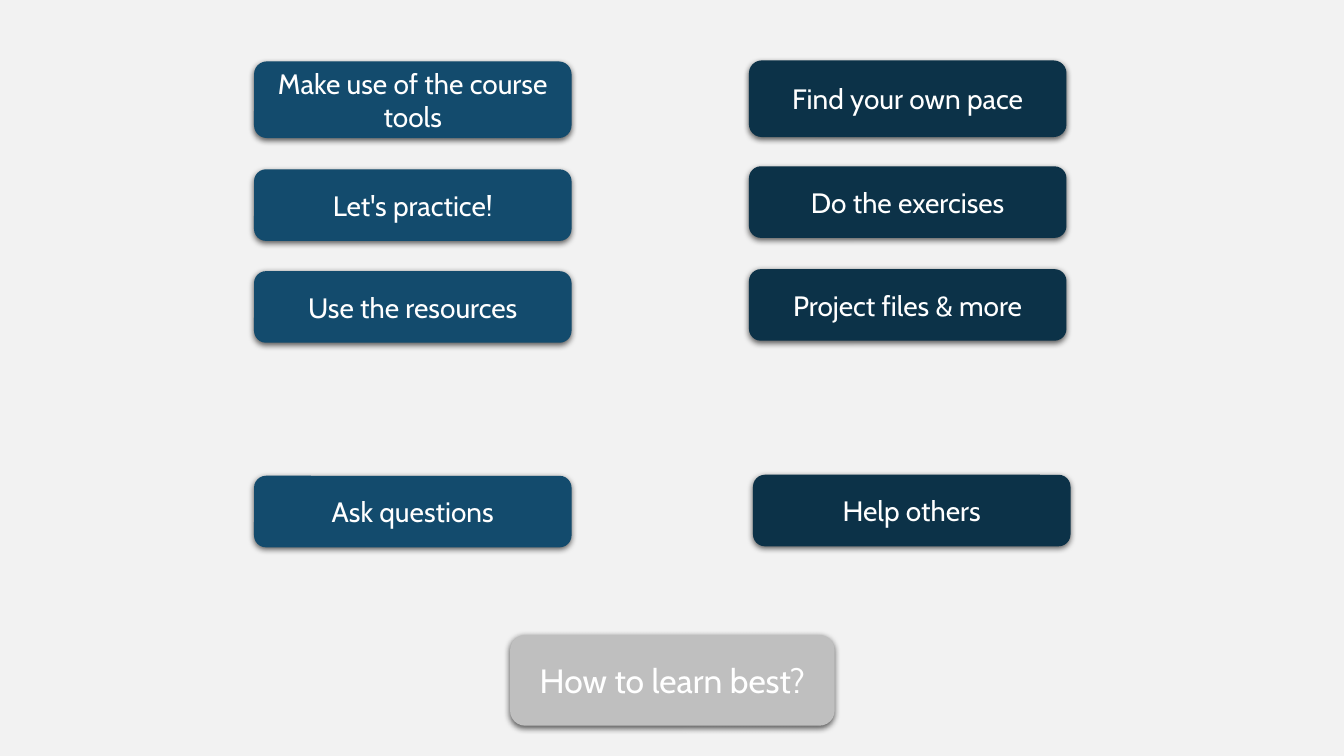
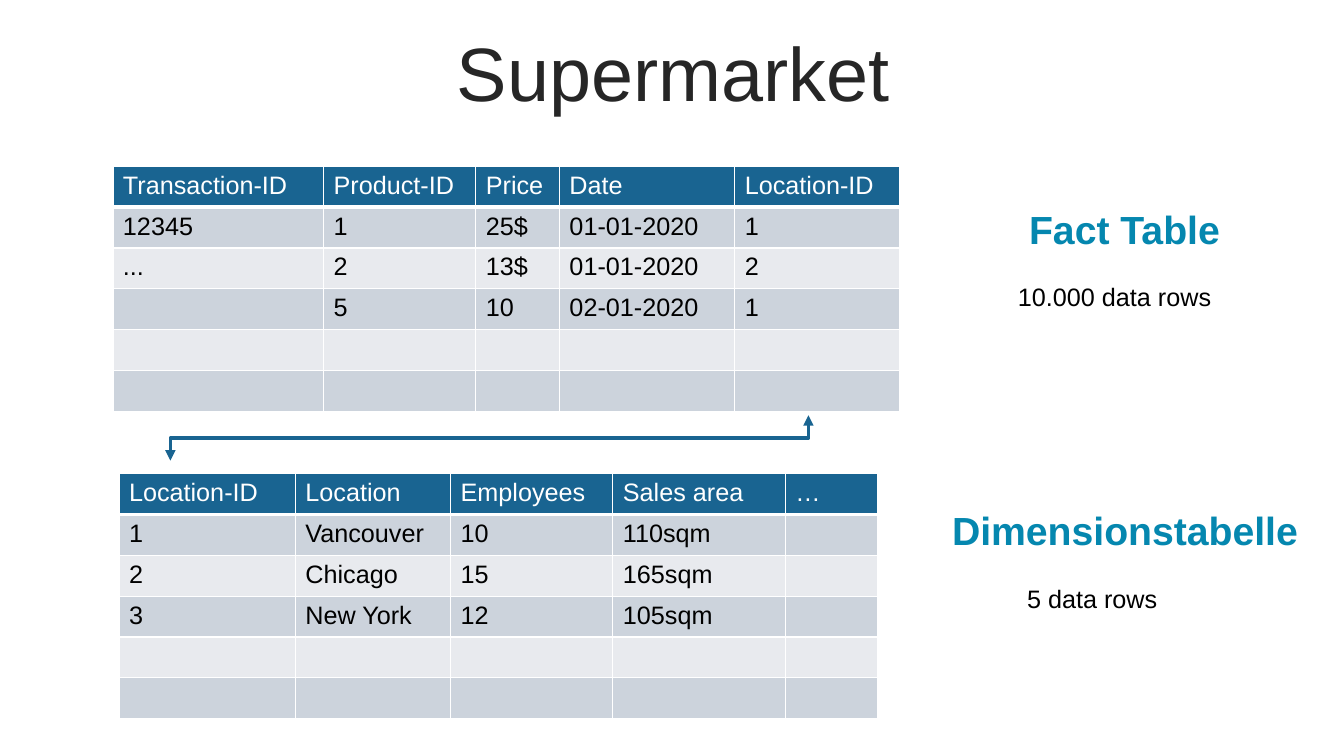
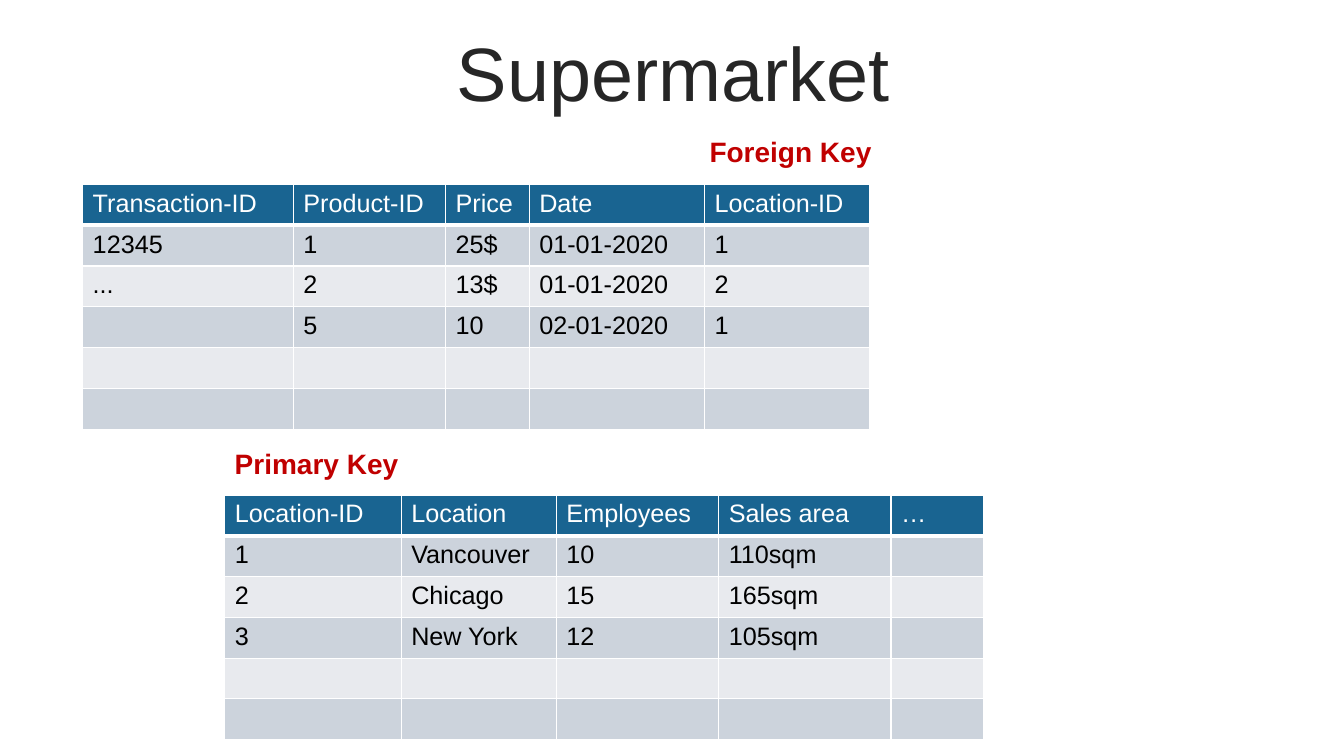
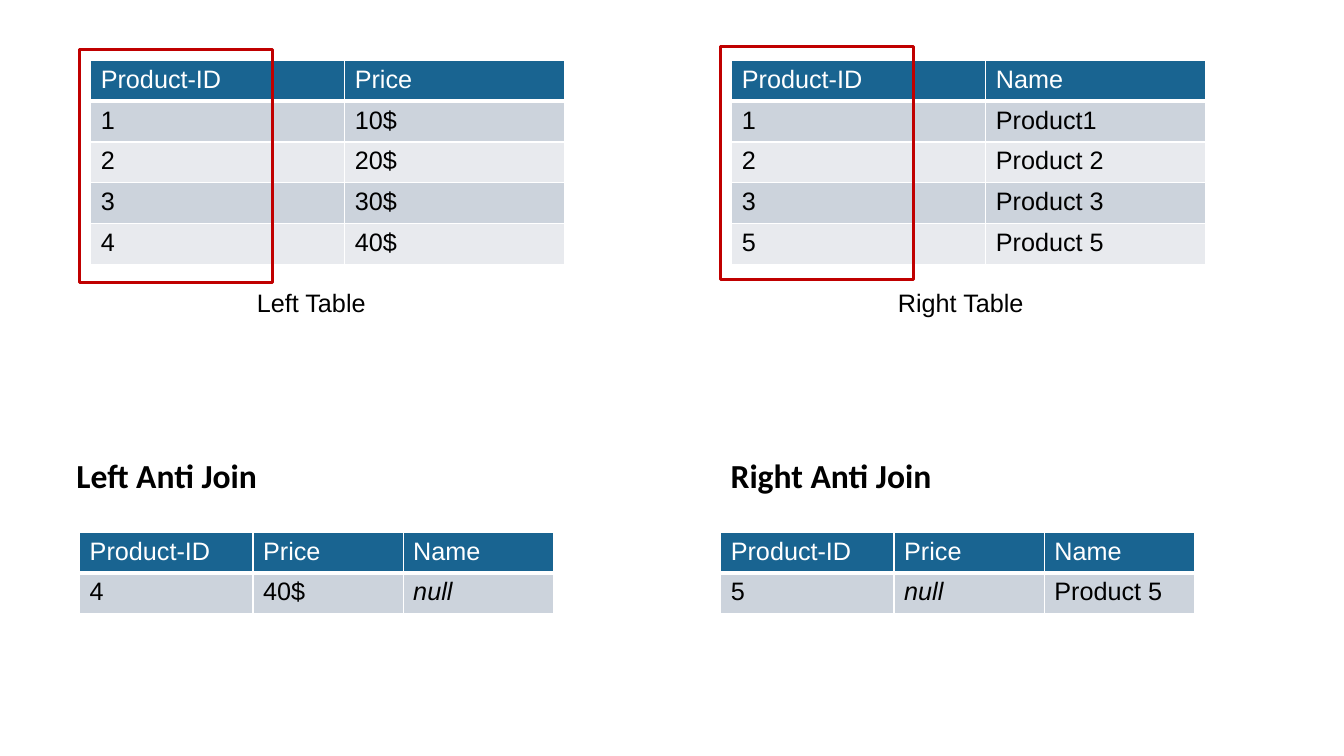
from dataclasses import dataclass

from lxml.etree import SubElement
from pptx import Presentation
from pptx.dml.color import RGBColor as Color
from pptx.enum.shapes import MSO_CONNECTOR as Connector, MSO_SHAPE as Shape
from pptx.enum.text import MSO_ANCHOR as Anchor, PP_ALIGN as Align
from pptx.oxml.ns import qn
from pptx.slide import Slide
from pptx.text.text import TextFrame
from pptx.util import Emu, Inches, Pt

UNIT = Inches(0.1)
PAGE_COLUMNS, PAGE_ROWS = 133.33, 75
TABLE_ROW = 4.05


@dataclass(frozen=True)
class TextStyle:
    font: str
    size: int
    color: str
    bold: bool = False
    align: Align = Align.LEFT


@dataclass(frozen=True)
class Theme:
    white: str = "FFFFFF"
    paper: str = "F2F2F2"
    blue: str = "134B6D"
    navy: str = "0C3248"
    grey: str = "BFBFBF"
    header: str = "196491"
    bands: tuple[str, str] = ("CCD3DC", "E8EAEE")
    red: str = "C00000"
    title: TextStyle = TextStyle("Arial", 54, "262626", align=Align.CENTER)
    button: TextStyle = TextStyle("Cabin", 20, "FFFFFF", align=Align.CENTER)
    question: TextStyle = TextStyle("Cabin", 24, "FFFFFF", align=Align.CENTER)
    head_cell: TextStyle = TextStyle("Arial", 18, "FFFFFF")
    body: TextStyle = TextStyle("Arial", 18, "000000")
    table_name: TextStyle = TextStyle("Arial", 28, "0587AF", True, Align.CENTER)
    key: TextStyle = TextStyle("Arial", 20, "C00000", True)
    join: TextStyle = TextStyle("Calibri", 24, "000000", True)


THEME = Theme()


@dataclass(frozen=True)
class Area:
    column: float
    row: float
    columns: float
    rows: float

    def lengths(self) -> tuple[Emu, Emu, Emu, Emu]:
        return grid(self.column), grid(self.row), grid(self.columns), grid(self.rows)


@dataclass(frozen=True)
class Button:
    text: str
    area: Area
    fill: str
    style: TextStyle = THEME.button


@dataclass(frozen=True)
class Label:
    text: str
    area: Area
    style: TextStyle
    wrap: bool = True


@dataclass(frozen=True)
class TableData:
    columns: tuple[float, ...]
    rows: tuple[tuple[str, ...], ...]
    empty_rows: int = 0


@dataclass(frozen=True)
class JoinSide:
    name: str
    left: float
    heading_left: float
    frame_top: float
    source: TableData
    result: TableData


SALES = TableData(
    (20.9, 15.1, 8.3, 17.4, 16.4),
    (
        ("Transaction-ID", "Product-ID", "Price", "Date", "Location-ID"),
        ("12345", "1", "25$", "01-01-2020", "1"),
        ("...", "2", "13$", "01-01-2020", "2"),
        ("", "5", "10", "02-01-2020", "1"),
    ),
    2,
)
LOCATIONS = TableData(
    (17.5, 15.4, 16.1, 17.1, 9.2),
    (
        ("Location-ID", "Location", "Employees", "Sales area", "…"),
        ("1", "Vancouver", "10", "110sqm", ""),
        ("2", "Chicago", "15", "165sqm", ""),
        ("3", "New York", "12", "105sqm", ""),
    ),
    2,
)
SOURCE_COLUMNS = (25.2, 21.8)
RESULT_COLUMNS = (17.2, 14.9, 14.9)
RESULT_HEADER = ("Product-ID", "Price", "Name")
JOIN_SIDES = (
    JoinSide(
        "Left", 7.9, 6.6, 4.9,
        TableData(SOURCE_COLUMNS, (
            ("Product-ID", "Price"),
            ("1", "10$"), ("2", "20$"), ("3", "30$"), ("4", "40$"),
        )),
        TableData(RESULT_COLUMNS, (RESULT_HEADER, ("4", "40$", "null"))),
    ),
    JoinSide(
        "Right", 71.5, 71.5, 4.6,
        TableData(SOURCE_COLUMNS, (
            ("Product-ID", "Name"),
            ("1", "Product1"), ("2", "Product 2"), ("3", "Product 3"), ("5", "Product 5"),
        )),
        TableData(RESULT_COLUMNS, (RESULT_HEADER, ("5", "null", "Product 5"))),
    ),
)
BUTTON_COLUMNS = 31.5
BUTTONS = (
    Button("Make use of the course tools", Area(25.2, 6.1, BUTTON_COLUMNS, 7.6), THEME.blue),
    Button("Let's practice!", Area(25.2, 16.8, BUTTON_COLUMNS, 7.1), THEME.blue),
    Button("Use the resources", Area(25.2, 26.9, BUTTON_COLUMNS, 7.1), THEME.blue),
    Button("Ask questions", Area(25.2, 47.2, BUTTON_COLUMNS, 7.1), THEME.blue),
    Button("Find your own pace", Area(74.3, 6, BUTTON_COLUMNS, 7.6), THEME.navy),
    Button("Do the exercises", Area(74.3, 16.5, BUTTON_COLUMNS, 7.1), THEME.navy),
    Button("Project files & more", Area(74.3, 26.7, BUTTON_COLUMNS, 7.1), THEME.navy),
    Button("Help others", Area(74.7, 47.1, BUTTON_COLUMNS, 7.1), THEME.navy),
    Button("How to learn best?", Area(50.6, 63, 32.2, 9), THEME.grey, THEME.question),
)


def grid(count: float) -> Emu:
    return Emu(round(count * UNIT))


def rgb(value: str) -> Color:
    return Color.from_string(value)


def write(frame: TextFrame, text: str, style: TextStyle, italic: bool = False) -> None:
    frame.text = text
    para = frame.paragraphs[0]
    para.alignment = style.align
    for span in para.runs:
        span.font.name = style.font
        span.font.size = Pt(style.size)
        span.font.bold = style.bold
        span.font.italic = italic
        span.font.color.rgb = rgb(style.color)


def add_page(deck: Presentation, background: str = THEME.white) -> Slide:
    page = deck.slides.add_slide(deck.slide_layouts[6])
    page.background.fill.solid()
    page.background.fill.fore_color.rgb = rgb(background)
    return page


def add_label(page: Slide, label: Label) -> TextFrame:
    frame = page.shapes.add_textbox(*label.area.lengths()).text_frame
    frame.word_wrap = label.wrap
    write(frame, label.text, label.style)
    return frame


def add_title(page: Slide, text: str) -> None:
    frame = add_label(page, Label(text, Area(3.5, 3.7, 126.6, 7.9), THEME.title))
    frame.vertical_anchor = Anchor.MIDDLE
    frame.paragraphs[0].line_spacing = 0.9
    frame.paragraphs[0].space_before = Pt(10)


def add_button(page: Slide, button: Button) -> None:
    box = page.shapes.add_shape(Shape.ROUNDED_RECTANGLE, *button.area.lengths())
    box.fill.solid()
    box.fill.fore_color.rgb = rgb(button.fill)
    box.line.fill.background()
    box.shadow.inherit = False
    effects = box.element.spPr.find(qn("a:effectLst"))
    shadow = SubElement(
        effects, qn("a:outerShdw"),
        blurRad=str(Pt(4.5)), dist=str(Pt(1.5)), dir="5400000", rotWithShape="0",
    )
    tint = SubElement(shadow, qn("a:srgbClr"), val="000000")
    SubElement(tint, qn("a:alpha"), val="63000")
    box.text_frame.word_wrap = True
    box.text_frame.vertical_anchor = Anchor.MIDDLE
    write(box.text_frame, button.text, button.style)


def add_table(page: Slide, left: float, top: float, data: TableData) -> None:
    empty = ("",) * len(data.columns)
    rows = data.rows + (empty,) * data.empty_rows
    area = Area(left, top, sum(data.columns), TABLE_ROW * len(rows))
    table = page.shapes.add_table(len(rows), len(data.columns), *area.lengths()).table
    for column, width in zip(table.columns, data.columns):
        column.width = grid(width)
    for index, texts in enumerate(rows):
        table.rows[index].height = grid(TABLE_ROW)
        is_header = index == 0
        fill = THEME.header if is_header else THEME.bands[(index - 1) % 2]
        style = THEME.head_cell if is_header else THEME.body
        for position, text in enumerate(texts):
            cell = table.cell(index, position)
            properties = cell._tc.get_or_add_tcPr()
            for side in ("lnL", "lnR", "lnT", "lnB"):
                width = Pt(3 if is_header and side == "lnB" else 1)
                border = SubElement(properties, qn(f"a:{side}"), w=str(width))
                paint = SubElement(border, qn("a:solidFill"))
                SubElement(paint, qn("a:srgbClr"), val=THEME.white)
            cell.fill.solid()
            cell.fill.fore_color.rgb = rgb(fill)
            write(cell.text_frame, text, style, italic=text == "null")


def add_key_arrow(page: Slide, start: tuple[float, float], end: tuple[float, float]) -> None:
    middle_x, middle_y = (start[0] + end[0]) / 2, (start[1] + end[1]) / 2
    half_run, half_rise = (end[0] - start[0]) / 2, (start[1] - end[1]) / 2
    arrow = page.shapes.add_connector(
        Connector.ELBOW,
        grid(middle_x + half_rise), grid(middle_y + half_run),
        grid(middle_x - half_rise), grid(middle_y - half_run),
    )
    arrow.line.color.rgb = rgb(THEME.header)
    arrow.line.width = Pt(2.5)
    properties = arrow.element.spPr
    properties.find(qn("a:xfrm")).set("rot", "5400000")
    line = properties.find(qn("a:ln"))
    for tip in ("headEnd", "tailEnd"):
        SubElement(line, qn(f"a:{tip}"), type="triangle")
    SubElement(properties, qn("a:effectLst"))


def add_frame(page: Slide, area: Area) -> None:
    frame = page.shapes.add_shape(Shape.RECTANGLE, *area.lengths())
    frame.fill.background()
    frame.line.color.rgb = rgb(THEME.red)
    frame.line.width = Pt(2.25)
    frame.shadow.inherit = False


def build_learning(deck: Presentation) -> None:
    page = add_page(deck, THEME.paper)
    for button in BUTTONS:
        add_button(page, button)


def build_tables(deck: Presentation) -> None:
    page = add_page(deck)
    add_title(page, "Supermarket")
    add_key_arrow(page, (16.9, 45.7), (80.2, 41.2))
    add_table(page, 11.8, 47, LOCATIONS)
    add_table(page, 11.2, 16.5, SALES)
    for label in (
        Label("10.000 data rows", Area(100, 27.4, 21.4, 4), THEME.body, False),
        Label("5 data rows", Area(100.9, 57.4, 15.1, 4), THEME.body, False),
        Label("Fact Table", Area(95.3, 19.9, 32.5, 5.7), THEME.table_name),
        Label("Dimensionstabelle", Area(93.2, 49.7, 36.8, 5.7), THEME.table_name),
    ):
        add_label(page, label)


def build_keys(deck: Presentation) -> None:
    page = add_page(deck)
    add_title(page, "Supermarket")
    add_table(page, 22.3, 49.1, LOCATIONS)
    add_table(page, 8.2, 18.3, SALES)
    add_label(page, Label("Foreign Key", Area(69.4, 12.9, 20.2, 4.4), THEME.key))
    add_label(page, Label("Primary Key", Area(22.3, 43.8, 18.4, 4.4), THEME.key, False))


def build_joins(deck: Presentation) -> None:
    page = add_page(deck)
    for side in JOIN_SIDES:
        add_table(page, side.left + 1.1, 6, side.source)
        add_table(page, side.left, 52.8, side.result)
        add_frame(page, Area(side.left, side.frame_top, 19.1, 23.1))
        caption = Area(side.left + 16.6, 28, 36.7, 4)
        add_label(page, Label(f"{side.name} Table", caption, THEME.body))
        heading = Area(side.heading_left, 44.6, 60, 5)
        add_label(page, Label(f"{side.name} Anti Join", heading, THEME.join))


def main() -> None:
    deck = Presentation()
    deck.slide_width, deck.slide_height = grid(PAGE_COLUMNS), grid(PAGE_ROWS)
    for build in (build_learning, build_tables, build_keys, build_joins):
        build(deck)
    deck.save("out.pptx")


if __name__ == "__main__":
    main()
